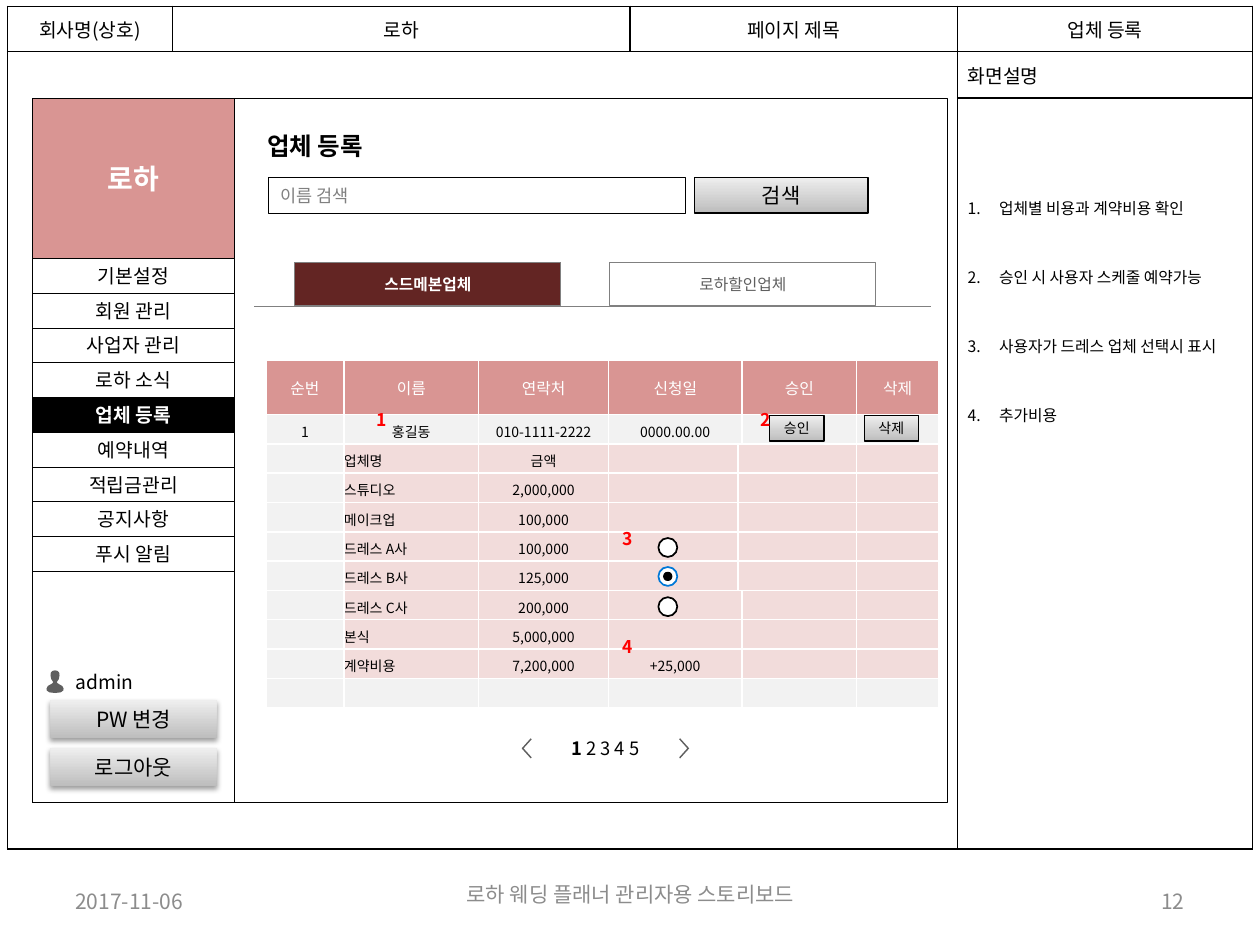
from lxml.etree import SubElement
from pptx import Presentation
from pptx.dml.color import RGBColor
from pptx.enum.shapes import MSO_CONNECTOR, MSO_SHAPE as SHAPE
from pptx.enum.text import MSO_ANCHOR as ANCHOR, PP_ALIGN as ALIGN
from pptx.oxml import parse_xml
from pptx.oxml.ns import nsdecls, qn
from pptx.util import Inches, Pt

THEME = {
    "font": "Noto Sans CJK KR", "tab font": "Cabin",
    "ink": "000000", "paper": "FFFFFF", "footer": "8C8C8C", "grey": "808080",
    "icon": "5F5F5F", "rose": "D99593", "pale rose": "F2DCDB", "pale grey": "F2F2F2",
    "wine": "632523", "mark": "FF0000", "chosen": "0078D7",
    "button dark": "BDBDBD", "button light": "EEEEEE",
    "logo": 16, "title": 14, "large": 12, "normal": 11, "pager": 10.5,
    "field": 10, "note": 9, "small": 8,
}

deck = Presentation()
deck.slide_width, deck.slide_height = Inches(10), Inches(7.5)
page = deck.slides.add_slide(deck.slide_layouts[5])
UNIT = deck.slide_width // 100  # the page is a grid of 100 columns by 75 rows


def set_type(para, size="normal", color="ink", bold=False, align=ALIGN.CENTER, font="font"):
    para.alignment = align
    for span in para.runs:
        span.font.size = Pt(THEME[size])
        span.font.bold = bold
        span.font.color.rgb = RGBColor.from_string(THEME[color])
        span.font.name = THEME[font]
        SubElement(span.font._element, qn("a:ea"), typeface=THEME[font])


def add_box(place, text="", fill=None, line=None, width=0.25, kind=SHAPE.RECTANGLE,
            wrap=True, anchor=ANCHOR.MIDDLE, **type_style):
    """Add a shape placed in grid units; the fill "button" is the grey gradient."""
    box = page.shapes.add_shape(kind, *(round(length * UNIT) for length in place))
    box.shadow.inherit = False
    if fill == "button":
        box.fill.gradient()
        box.fill.gradient_angle = 90
        for stop, shade in zip(box.fill.gradient_stops, ("button dark", "button light")):
            stop.color.rgb = RGBColor.from_string(THEME[shade])
    elif fill:
        box.fill.solid()
        box.fill.fore_color.rgb = RGBColor.from_string(THEME[fill])
    else:
        box.fill.background()
    if line:
        box.line.color.rgb = RGBColor.from_string(THEME[line])
        box.line.width = Pt(width)
    else:
        box.line.fill.background()
    frame = box.text_frame
    frame.word_wrap = wrap
    frame.vertical_anchor = anchor
    if text:
        frame.text = text
        set_type(frame.paragraphs[0], **type_style)
    return box


# Footer
add_box((5, 69.5, 23.3, 4), "2017-11-06", size="large", color="footer", align=ALIGN.LEFT)
add_box((71.7, 69.5, 23.3, 4), "12", size="large", color="footer", align=ALIGN.RIGHT)
add_box((34.2, 69, 31.7, 4), "로하 웨딩 플래너 관리자용 스토리보드", size="large", color="footer")

# Storyboard sheet
sheet_columns, sheet_rows = (13.1, 36.3, 26, 23.4), (3.6, 3.7, 59.6)
sheet = page.shapes.add_table(3, 4, round(0.6 * UNIT), round(0.5 * UNIT),
                              round(98.9 * UNIT), round(66.9 * UNIT)).table
for column, width in zip(sheet.columns, sheet_columns):
    column.width = round(width * UNIT)
for row, height in zip(sheet.rows, sheet_rows):
    row.height = round(height * UNIT)
for index, heading in enumerate(("회사명(상호)", "로하", "페이지 제목", "업체 등록")):
    sheet.cell(0, index).text = heading
    set_type(sheet.cell(0, index).text_frame.paragraphs[0])
sheet.cell(1, 0).merge(sheet.cell(2, 2))
sheet.cell(1, 3).text = "화면설명"
set_type(sheet.cell(1, 3).text_frame.paragraphs[0], align=ALIGN.LEFT)
for cell in sheet.iter_cells():
    cell.fill.background()
    cell.vertical_anchor = ANCHOR.MIDDLE
    cell.margin_left = cell.margin_right = round(0.8 * UNIT)

notes = sheet.cell(2, 3)
notes.vertical_anchor = ANCHOR.TOP
notes.margin_top = round(7.8 * UNIT)
notes.text = "\n".join(("업체별 비용과 계약비용 확인", "승인 시 사용자 스케줄 예약가능",
                        "사용자가 드레스 업체 선택시 표시", "추가비용"))
for index, para in enumerate(notes.text_frame.paragraphs):
    if index:
        para.space_before = Pt(26.3)
    properties = para._p.get_or_add_pPr()
    properties.set("marL", str(round(2.5 * UNIT)))
    properties.set("indent", str(round(-2.5 * UNIT)))
    SubElement(properties, qn("a:buFont"), typeface="+mj-lt")
    SubElement(properties, qn("a:buAutoNum"), type="arabicPeriod")
    set_type(para, "note", align=ALIGN.LEFT)

# Screen frame, title and side menu
add_box((2.6, 7.8, 72.6, 55.9), line="ink")
title = page.shapes.title
title.left, title.top, title.width, title.height = (
    round(length * UNIT) for length in (20.2, 9.9, 24.9, 3.4))
title.text_frame.text = "업체 등록"
title.text_frame.vertical_anchor = ANCHOR.TOP
set_type(title.text_frame.paragraphs[0], "title", bold=True, align=ALIGN.LEFT)

add_box((2.6, 42.6, 16, 21.1), line="ink")
add_box((2.6, 7.8, 16, 12.7), "로하", "rose", "ink", size="logo", color="paper", bold=True)
menu = ("기본설정", "회원 관리", "사업자 관리", "로하 소식", "업체 등록",
        "예약내역", "적립금관리", "공지사항", "푸시 알림")
for index, entry in enumerate(menu):
    current = entry == "업체 등록"
    add_box((2.6, 20.5 + 2.76 * index, 16, 2.76), entry, "ink" if current else "paper", "ink",
            color="paper" if current else "ink", bold=current)

# Account area
for top, label in ((55.6, "PW 변경"), (59.4, "로그아웃")):
    button = add_box((4, top, 13.2, 3), label, "button", size="large")
    button._element.spPr.find(qn("a:effectLst")).append(parse_xml(
        f'<a:outerShdw {nsdecls("a")} blurRad="{Pt(3.1)}" dist="{Pt(1.6)}" dir="5400000" '
        'rotWithShape="0"><a:srgbClr val="000000"><a:alpha val="38000"/></a:srgbClr>'
        '</a:outerShdw>'))
add_box((5, 52.7, 13.5, 2.8), "admin", align=ALIGN.LEFT)

# Outlines of the user icon and the pager arrows, in hundredths of a grid unit
half_user = ((0, 0), (20, 5), (33, 18), (36, 40), (30, 70), (16, 90), (16, 100),
             (32, 110), (58, 125), (68, 145), (66, 160), (45, 175), (0, 180))
user = [(437 + x, 5320 + y) for x, y in half_user]
user += [(437 - x, 5320 + y) for x, y in reversed(half_user[1:-1])]
arrow = ((72, 0), (80, 8), (15, 80), (80, 152), (72, 160), (0, 80))
previous_arrow = [(4140 + x, 5860 + y) for x, y in arrow]
next_arrow = [(5470 - x, 5860 + y) for x, y in arrow]
for points in (user, previous_arrow, next_arrow):
    builder = page.shapes.build_freeform(*points[0], scale=UNIT / 100)
    builder.add_line_segments(points[1:], close=True)
    icon = builder.convert_to_shape()
    icon.shadow.inherit = False
    icon.fill.solid()
    icon.fill.fore_color.rgb = RGBColor.from_string(THEME["icon"])
    icon.line.fill.background()

# Search and tabs
add_box((21.3, 14.1, 33.1, 2.8), "이름 검색", "paper", "ink",
        size="field", color="grey", align=ALIGN.LEFT)
add_box((55.1, 14.1, 13.8, 2.8), "검색", "button", "ink", 0.75, size="large")
baseline = page.shapes.add_connector(MSO_CONNECTOR.STRAIGHT, *(
    round(length * UNIT) for length in (20.2, 24.3, 73.9, 24.3)))
baseline.line.color.rgb = RGBColor.from_string(THEME["grey"])
baseline.line.width = Pt(0.5)
SubElement(baseline._element.spPr, qn("a:effectLst"))
for left, label, fill, color, bold in ((23.4, "스드메본업체", "wine", "paper", True),
                                       (48.4, "로하할인업체", "paper", "icon", False)):
    add_box((left, 20.8, 21.1, 3.45), label, fill, "grey", 0.5,
            size="note", color=color, bold=bold, font="tab font")

# Vendor list
records = (
    ("순번", "이름", "연락처", "신청일", "", "승인", "삭제"),
    ("1", "홍길동", "010-1111-2222", "0000.00.00"),
    ("", "업체명", "금액"),
    ("", "스튜디오", "2,000,000"),
    ("", "메이크업", "100,000"),
    ("", "드레스 A사", "100,000"),
    ("", "드레스 B사", "125,000"),
    ("", "드레스 C사", "200,000"),
    ("", "본식", "5,000,000"),
    ("", "계약비용", "7,200,000", "+25,000"),
    (),
)
vendor_columns = (6.2, 10.7, 10.3, 10.3, 0.3, 9.1, 6.5)
HEADER, ROW = 4.3, 2.33
vendors = page.shapes.add_table(len(records), 7, round(21.1 * UNIT), round(28.6 * UNIT),
                                round(53.4 * UNIT), round((HEADER + 10 * ROW) * UNIT)).table
for column, width in zip(vendors.columns, vendor_columns):
    column.width = round(width * UNIT)
for r, record in enumerate(records):
    vendors.rows[r].height = round((ROW if r else HEADER) * UNIT)
    first_merged = 4 if 2 <= r <= 6 else 3
    vendors.cell(r, first_merged).merge(vendors.cell(r, first_merged + 1))
    for c in range(7):
        cell = vendors.cell(r, c)
        cell.margin_left = cell.margin_right = 0
        cell.margin_top = round(0.5 * UNIT)
        cell.margin_bottom = round((0.2 if r else 0.5) * UNIT)
        cell.vertical_anchor = ANCHOR.TOP if r else ANCHOR.MIDDLE
        detail = 2 <= r <= 9 and c > 0
        shade = "rose" if r == 0 else "pale rose" if detail else "pale grey"
        cell.fill.solid()
        cell.fill.fore_color.rgb = RGBColor.from_string(THEME[shade])
        if c < len(record) and record[c]:
            cell.text = record[c]
            set_type(cell.text_frame.paragraphs[0], "small" if r else "note",
                     "ink" if r else "paper",
                     align=ALIGN.LEFT if detail and c == 1 else ALIGN.CENTER)

# Borders of both tables, and small type in their empty cells
for table, color in ((sheet, "ink"), (vendors, "paper")):
    table.first_row = table.horz_banding = False
    for cell in table.iter_cells():
        properties = cell._tc.get_or_add_tcPr()
        for index, side in enumerate("LRTB"):
            properties.insert(index, parse_xml(
                f'<a:ln{side} {nsdecls("a")} w="{Pt(1)}"><a:solidFill>'
                f'<a:srgbClr val="{THEME[color]}"/></a:solidFill></a:ln{side}>'))
        if not cell.text_frame.text:
            SubElement(cell.text_frame.paragraphs[0]._p, qn("a:endParaRPr"),
                       sz=str(THEME["small"] * 100))

# Row buttons, options and numbered marks
for left, label in ((61.1, "승인"), (68.6, "삭제")):
    add_box((left, 33, 4.3, 2), label, "button", "ink", 0.75, size="small")
for top, ring in ((42.7, "ink"), (45, "chosen"), (47.4, "ink")):
    add_box((52.25, top, 1.5, 1.5), "", "paper", ring, 1, SHAPE.OVAL)
add_box((52.7, 45.45, 0.6, 0.6), "", "ink", "ink", 1, SHAPE.OVAL)
for number, left, top in (("1", 28.9, 32), ("2", 59.4, 32), ("3", 48.4, 41.4), ("4", 48.4, 50)):
    add_box((left, top, 2.8, 2.7), number, wrap=False, anchor=ANCHOR.TOP,
            size="field", color="mark", bold=True, align=ALIGN.LEFT)

# Pager
pager = add_box((42.4, 58, 11.3, 2.9), "1", anchor=ANCHOR.TOP).text_frame.paragraphs[0]
pager.add_run().text = " 2 3 4 5"
set_type(pager, "pager")
pager.runs[0].font.bold = True

deck.save("out.pptx")
